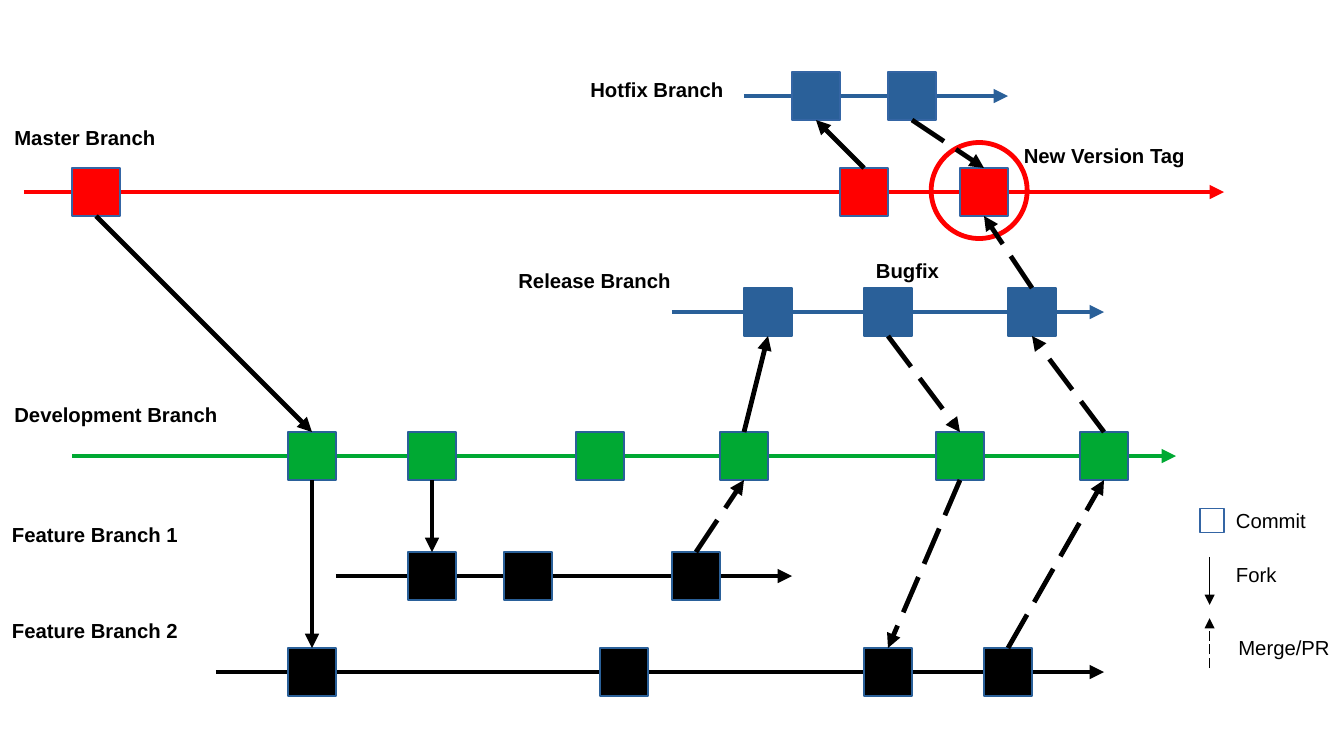
from lxml.etree import SubElement
from pptx import Presentation
from pptx.dml.color import RGBColor
from pptx.enum.dml import MSO_LINE
from pptx.enum.shapes import MSO_CONNECTOR, MSO_SHAPE
from pptx.enum.text import PP_ALIGN
from pptx.oxml.ns import qn
from pptx.util import Cm, Pt

RED = RGBColor(0xFF, 0x00, 0x00)
GREEN = RGBColor(0x00, 0xA9, 0x33)
BLUE = RGBColor(0x2A, 0x60, 0x99)
OUTLINE = RGBColor(0x34, 0x65, 0xA4)
BLACK = RGBColor(0x00, 0x00, 0x00)
WHITE = RGBColor(0xFF, 0xFF, 0xFF)

COMMIT = 1
TAG = 2
THICK, THIN = 2.83, 0.75

# name: (label, label left, label top, colour, outline, top, start, end, commits)
BRANCHES = {
    "hotfix": ("Hotfix Branch", 12.05, 1.5, BLUE, OUTLINE, 1.5, 15.5, 21, [16.5, 18.5]),
    "master": ("Master Branch", 0.05, 2.5, RED, OUTLINE, 3.5, 0.5, 25.5, [1.5, 17.5, 20]),
    "release": ("Release Branch", 10.55, 5.48, BLUE, BLUE, 6, 14, 23, [15.5, 18, 21]),
    "develop": ("Development Branch", 0.05, 8.28, GREEN, BLUE, 9, 1.5, 24.5,
                [6, 8.5, 12, 15, 19.5, 22.5]),
    "feature1": ("Feature Branch 1", 0, 10.77, BLACK, BLUE, 11.5, 7, 16.5, [8.5, 10.5, 14]),
    "feature2": ("Feature Branch 2", 0, 12.77, BLACK, BLUE, 13.5, 4.5, 23, [6, 12.5, 18, 20.5]),
}
FORKS = [
    (("master", 0), ("develop", 0)),
    (("master", 1), ("hotfix", 0)),
    (("develop", 0), ("feature2", 0)),
    (("develop", 1), ("feature1", 0)),
    (("develop", 3), ("release", 0)),
]
MERGES = [
    (("hotfix", 1), ("master", 2)),
    (("release", 1), ("develop", 4)),
    (("release", 2), ("master", 2)),
    (("develop", 5), ("release", 2)),
    (("develop", 4), ("feature2", 2)),
    (("feature1", 2), ("develop", 3)),
    (("feature2", 3), ("develop", 5)),
]
NOTES = [("New Version Tag", 21.08, 2.87), ("Bugfix", 18, 5.28)]
LEGEND = [("Commit", 25.5, 10.48), ("Fork", 25.5, 11.6), ("Merge/PR", 25.55, 13.13)]


def add_label(slide, words, left, top, bold=True):
    """Write one line of text in a box as wide as its words need."""
    label = slide.shapes.add_textbox(Cm(left), Cm(top), Cm(0.25 * len(words) + 0.3), Cm(0.72))
    frame = label.text_frame
    frame.word_wrap = True
    frame.margin_left, frame.margin_right = Cm(0.25), 0
    frame.margin_top, frame.margin_bottom = Cm(0.15), Cm(0.13)
    paragraph = frame.paragraphs[0]
    paragraph.alignment = PP_ALIGN.LEFT
    paragraph.line_spacing = 0.93
    paragraph.space_before = paragraph.space_after = Pt(0.7)
    run = paragraph.add_run()
    run.text = words
    run.font.name, run.font.size, run.font.bold = "Arial", Pt(12), bold
    run.font.color.rgb = BLACK


def add_arrow(slide, start, end, colour=BLACK, weight=THICK, dashed=False):
    """Draw an arrow between two points."""
    arrow = slide.shapes.add_connector(MSO_CONNECTOR.STRAIGHT, *map(Cm, start + end))
    arrow.line.color.rgb = colour
    arrow.line.width = Pt(weight)
    if dashed:
        arrow.line.dash_style = MSO_LINE.LONG_DASH
    SubElement(arrow.line._get_or_add_ln(), qn("a:tailEnd"), type="triangle")
    SubElement(arrow._element.spPr, qn("a:effectLst"))


def add_mark(slide, kind, left, top, size, fill, outline, weight=THIN):
    """Draw a square or round mark, hollow when it has no fill."""
    mark = slide.shapes.add_shape(kind, Cm(left), Cm(top), Cm(size), Cm(size))
    mark.shadow.inherit = False
    if fill is None:
        mark.fill.background()
    else:
        mark.fill.solid()
        mark.fill.fore_color.rgb = fill
    mark.line.color.rgb = outline
    mark.line.width = Pt(weight)


def commit_corner(commit):
    """Return the left and top of a commit."""
    branch, number = commit
    *_, top, _, _, commits = BRANCHES[branch]
    return commits[number], top


def add_link(slide, source, target, dashed):
    """Join the facing edges of two commits."""
    (source_left, source_top), (target_left, target_top) = map(commit_corner, (source, target))
    downward = target_top > source_top
    start = (source_left + COMMIT / 2, source_top + COMMIT * downward)
    end = (target_left + COMMIT / 2, target_top + COMMIT * (not downward))
    add_arrow(slide, start, end, dashed=dashed)


def main():
    """Build the branching diagram."""
    deck = Presentation()
    deck.slide_width, deck.slide_height = Cm(28), Cm(15.75)
    slide = deck.slides.add_slide(deck.slide_layouts[6])

    for label, left, label_top, colour, outline, top, start, end, commits in BRANCHES.values():
        add_label(slide, label, left, label_top)
        middle = top + COMMIT / 2
        add_arrow(slide, (start, middle), (end, middle), colour)
        for commit in commits:
            add_mark(slide, MSO_SHAPE.RECTANGLE, commit, top, COMMIT, colour, outline)

    add_mark(slide, MSO_SHAPE.OVAL, 19.4, 2.97, TAG, None, RED, THICK)
    for links, dashed in ((FORKS, False), (MERGES, True)):
        for source, target in links:
            add_link(slide, source, target, dashed)
    for note in NOTES:
        add_label(slide, *note)

    add_mark(slide, MSO_SHAPE.RECTANGLE, 25, 10.6, COMMIT / 2, WHITE, OUTLINE)
    add_arrow(slide, (25.2, 11.6), (25.2, 12.6), weight=THIN)
    add_arrow(slide, (25.2, 13.92), (25.2, 12.88), weight=THIN, dashed=True)
    for entry in LEGEND:
        add_label(slide, *entry, bold=False)

    deck.save("out.pptx")


if __name__ == "__main__":
    main()
